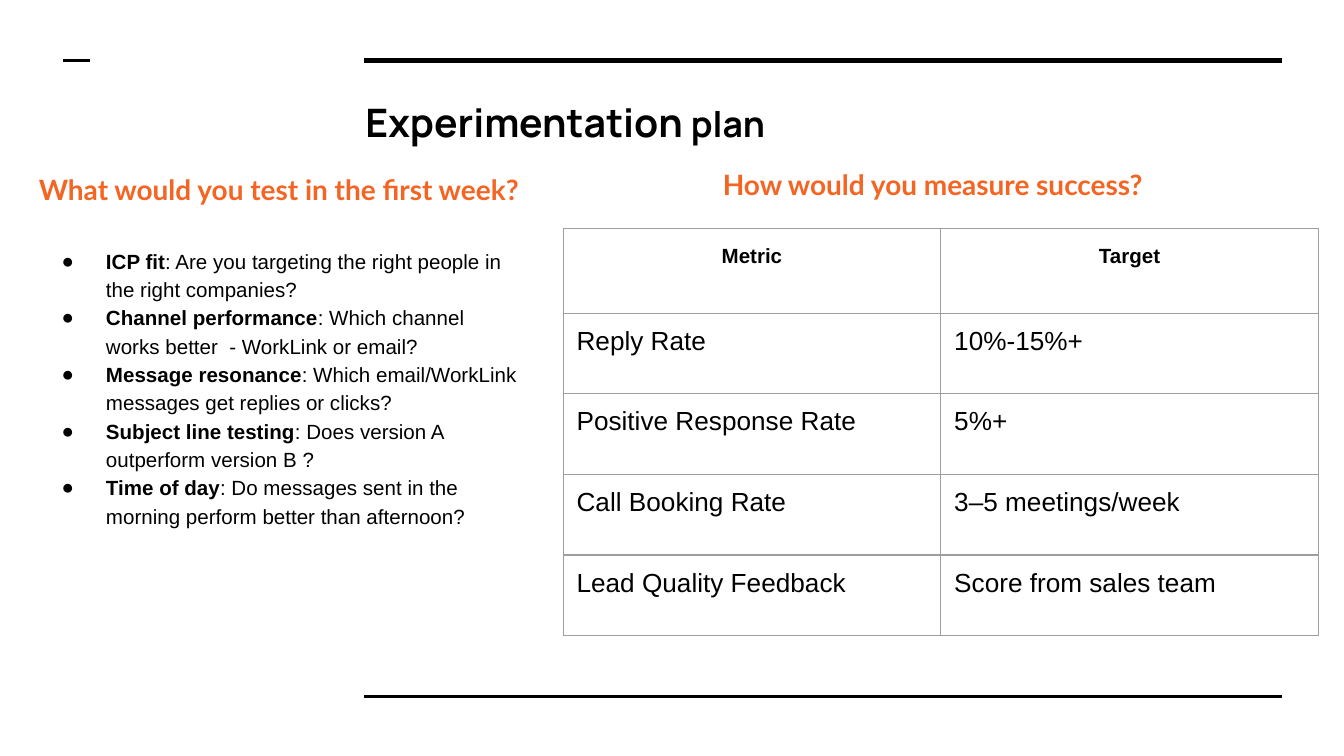
"""Build the experimentation plan slide."""
from lxml import etree
from pptx import Presentation
from pptx.dml.color import RGBColor
from pptx.enum.shapes import MSO_CONNECTOR
from pptx.enum.text import MSO_ANCHOR, PP_ALIGN
from pptx.oxml.ns import qn
from pptx.util import Inches, Pt

STRAIGHT = MSO_CONNECTOR.STRAIGHT
TOP = MSO_ANCHOR.TOP
LEFT, CENTER = PP_ALIGN.LEFT, PP_ALIGN.CENTER
BLACK = RGBColor(0x00, 0x00, 0x00)
ORANGE = RGBColor(0xF4, 0x65, 0x24)
GREY = RGBColor(0x9E, 0x9E, 0x9E)
INSET = Inches(0.1)
HEADING = {"size": 15, "font": "Lato", "color": ORANGE, "bold": True}

RULES = [(2.71, 9.54, 0.45, 3), (2.71, 9.54, 5.18, 1.5), (0.47, 0.67, 0.45, 1.5)]
TESTS = [
    ("ICP fit", ": Are you targeting the right people in the right companies?"),
    ("Channel performance", ": Which channel works better  - WorkLink or email?"),
    ("Message resonance", ": Which email/WorkLink messages get replies or clicks?"),
    ("Subject line testing", ": Does version A outperform version B ?"),
    ("Time of day", ": Do messages sent in the morning perform better than afternoon?"),
]
METRICS = [
    ("Metric", "Target"),
    ("Reply Rate", "10%-15%+"),
    ("Positive Response Rate", "5%+"),
    ("Call Booking Rate", "3–5 meetings/week"),
    ("Lead Quality Feedback", "Score from sales team"),
]


def add_text(p, text, size=11, font="Arial", color=BLACK, bold=False):
    """Append a formatted run to a paragraph."""
    r = p.add_run()
    r.text = text
    r.font.size = Pt(size)
    r.font.name = font
    r.font.bold = bold
    r.font.color.rgb = color


def add_box(s, x, y, w, h):
    """Add a wrapping text box and return its text frame."""
    tf = s.shapes.add_textbox(Inches(x), Inches(y), Inches(w), Inches(h)).text_frame
    tf.word_wrap = True
    tf.vertical_anchor = TOP
    tf.margin_left = tf.margin_right = tf.margin_top = tf.margin_bottom = INSET
    return tf


def add_rule(s, x1, x2, y, width):
    """Draw a horizontal black rule."""
    line = s.shapes.add_connector(STRAIGHT, Inches(x1), Inches(y), Inches(x2), Inches(y))
    line.line.color.rgb = BLACK
    line.line.width = Pt(width)
    etree.SubElement(line._element.spPr, qn("a:effectLst"))


def set_bullet(p):
    """Give a paragraph a hanging round bullet."""
    pPr = p._p.get_or_add_pPr()
    pPr.set("marL", str(Inches(0.5)))
    pPr.set("indent", str(Inches(-0.33)))
    color = etree.SubElement(pPr, qn("a:buClr"))
    etree.SubElement(color, qn("a:srgbClr"), val=str(BLACK))
    etree.SubElement(pPr, qn("a:buFont"), typeface="Arial")
    etree.SubElement(pPr, qn("a:buChar"), char="●")


def set_borders(cell):
    """Outline a cell on all four sides."""
    tcPr = cell._tc.get_or_add_tcPr()
    for i, side in enumerate(("lnL", "lnR", "lnT", "lnB")):
        ln = etree.Element(qn(f"a:{side}"), w=str(Pt(0.75)))
        fill = etree.SubElement(ln, qn("a:solidFill"))
        etree.SubElement(fill, qn("a:srgbClr"), val=str(GREY))
        tcPr.insert(i, ln)


def add_tests(s):
    """Add the left column: a heading and the bulleted tests."""
    tf = add_box(s, 0.19, 1.15, 3.78, 3.96)
    p = tf.paragraphs[0]
    p.line_spacing = 1.15
    p.space_after = Pt(20.7)
    add_text(p, "What would you test in the first week?", **HEADING)
    for name, question in TESTS:
        p = tf.add_paragraph()
        p.line_spacing = 1.15
        set_bullet(p)
        add_text(p, name, bold=True)
        add_text(p, question)


def add_metrics(s):
    """Add the table of metrics and targets."""
    table = s.shapes.add_table(len(METRICS), 2, Inches(4.19), Inches(1.7),
                               Inches(5.62), Inches(3.03)).table
    table.first_row = table.horz_banding = False
    for i, row in enumerate(METRICS):
        header = i == 0
        table.rows[i].height = Inches(0.63 if header else 0.6)
        for j, text in enumerate(row):
            cell = table.cell(i, j)
            cell.fill.background()
            cell.margin_left = cell.margin_right = INSET
            cell.margin_top = cell.margin_bottom = INSET
            set_borders(cell)
            p = cell.text_frame.paragraphs[0]
            p.alignment = CENTER if header else LEFT
            p.line_spacing = 1.15 if header else 1.0
            add_text(p, text, size=11 if header else 14, bold=header)


def main():
    """Compose and save the slide."""
    prs = Presentation()
    prs.slide_width = Inches(10)
    prs.slide_height = prs.slide_width * 9 // 16
    s = prs.slides.add_slide(prs.slide_layouts[6])
    for rule in RULES:
        add_rule(s, *rule)
    p = add_box(s, 2.62, 0.63, 6.91, 0.69).paragraphs[0]
    add_text(p, "Experimentation ", size=21, font="Manrope", bold=True)
    add_text(p, "plan", size=19, font="Manrope", bold=True)
    add_tests(s)
    add_metrics(s)
    p = add_box(s, 5.28, 1.15, 5.25, 0.29).paragraphs[0]
    add_text(p, "How would you measure success?", **HEADING)
    prs.save("out.pptx")


if __name__ == "__main__":
    main()
